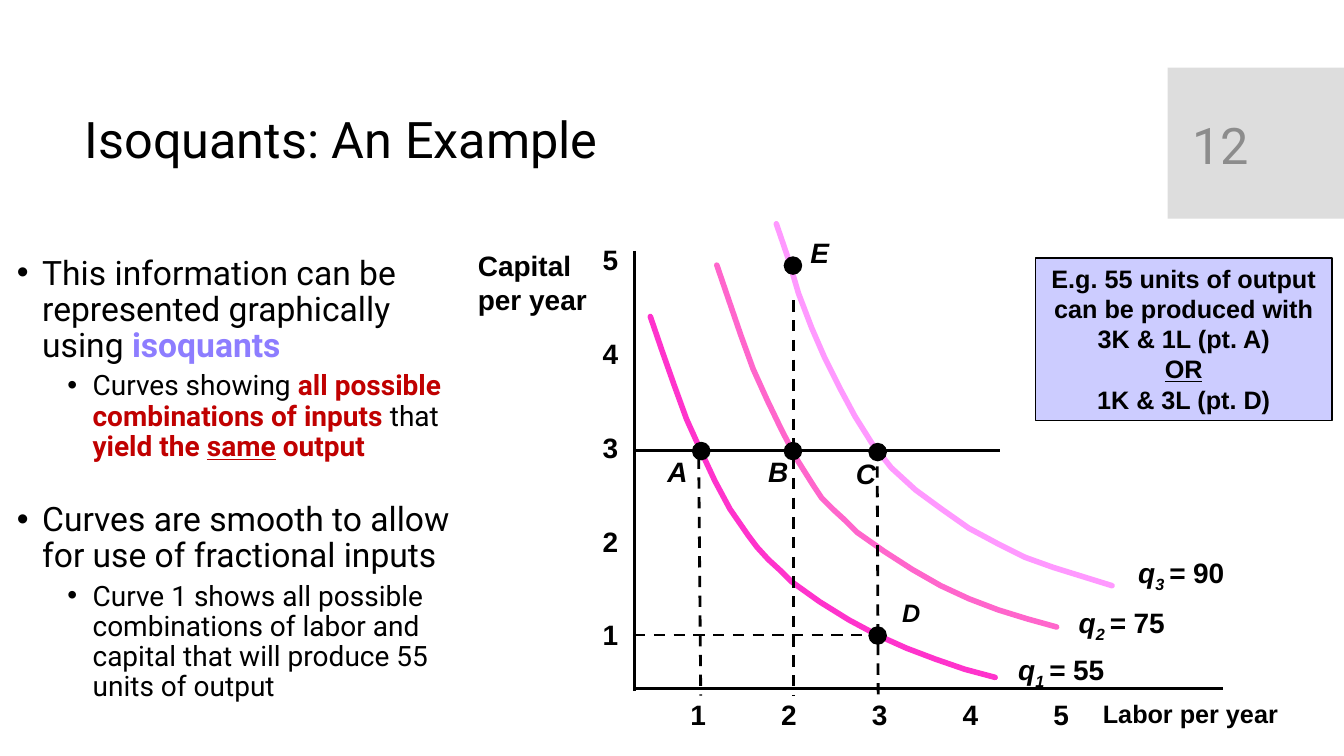
import pptx
import pptx.dml.color
import pptx.enum.dml
import pptx.enum.shapes
import pptx.enum.text
import pptx.oxml
import pptx.oxml.ns
import pptx.util

Inches = pptx.util.Inches
Pt = pptx.util.Pt
RGBColor = pptx.dml.color.RGBColor
Shape = pptx.enum.shapes.MSO_SHAPE
Align = pptx.enum.text.PP_ALIGN
Anchor = pptx.enum.text.MSO_ANCHOR
AutoSize = pptx.enum.text.MSO_AUTO_SIZE
qn = pptx.oxml.ns.qn

BLACK = RGBColor(0x00, 0x00, 0x00)
NUMBER_GRAY = RGBColor(0x8C, 0x8C, 0x8C)
PANEL_GRAY = RGBColor(0xDD, 0xDD, 0xDD)
PURPLE = RGBColor(0x8D, 0x7D, 0xFF)
RED = RGBColor(0xC0, 0x00, 0x00)
LAVENDER = RGBColor(0xCC, 0xCC, 0xFF)
PINK_1 = RGBColor(0xFF, 0x33, 0xCC)
PINK_2 = RGBColor(0xFF, 0x66, 0xCC)
PINK_3 = RGBColor(0xFF, 0x99, 0xFF)

CHART_FONT = {"name": "Arial", "size": Pt(20), "bold": True}
POINT_FONT = CHART_FONT | {"italic": True}
SMALL_FONT = CHART_FONT | {"size": Pt(18)}


def write_runs(paragraph, runs, base):
    """Add (text, format) runs; each format overrides values of the base format."""
    for text, changes in runs:
        run = paragraph.add_run()
        run.text = text
        values = {"color": BLACK} | base | changes
        run.font.color.rgb = values.pop("color")
        for name, value in values.items():
            setattr(run.font, name, value)


def add_label(left, top, width, height, lines, base):
    label = slide.shapes.add_textbox(Inches(left), Inches(top), Inches(width), Inches(height))
    frame = label.text_frame
    frame.word_wrap = False
    frame.auto_size = AutoSize.SHAPE_TO_FIT_TEXT
    for index, line in enumerate(lines):
        paragraph = frame.add_paragraph() if index else frame.paragraphs[0]
        write_runs(paragraph, [(line, {})], base)
    return label


presentation = pptx.Presentation()
presentation.slide_width = Inches(13.33)
presentation.slide_height = Inches(7.5)
slide = presentation.slides.add_slide(presentation.slide_layouts[5])

# Title and slide number
panel = slide.shapes.add_shape(Shape.RECTANGLE, Inches(11.58), Inches(0.67), Inches(1.75), Inches(1.5))
panel.shadow.inherit = False
panel.fill.solid()
panel.fill.fore_color.rgb = PANEL_GRAY
panel.line.fill.background()

title = slide.shapes.title
title.left, title.top, title.width, title.height = map(Inches, (0.74, 0.82, 10.51, 1.18))
title.text_frame.auto_size = AutoSize.NONE
title.text_frame.vertical_anchor = Anchor.MIDDLE
title_paragraph = title.text_frame.paragraphs[0]
title_paragraph.alignment = Align.LEFT
title_paragraph.line_spacing = 0.9
write_runs(title_paragraph, [("Isoquants: An Example", {})], {"name": "Roboto", "size": Pt(36)})

number = add_label(11.73, 0.84, 1.26, 1.19, ["12"], {"name": "Roboto", "size": Pt(36), "color": NUMBER_GRAY})
number.text_frame.auto_size = AutoSize.NONE
number.text_frame.word_wrap = True
number.text_frame.vertical_anchor = Anchor.MIDDLE

# Bulleted text: level, space before, runs
red_bold = {"color": RED, "bold": True}
bullets = [
    (0, 0, [("This information can be represented graphically using ", {}),
            ("isoquants", {"color": PURPLE, "bold": True})]),
    (1, 5, [("Curves showing ", {}), ("all possible combinations of inputs ", red_bold),
            ("that ", {}), ("yield the ", red_bold),
            ("same", red_bold | {"underline": True}), (" output", red_bold)]),
    (0, 28.5, [("Curves are smooth to allow for use of fractional inputs", {})]),
    (1, 5, [("Curve 1 shows all possible combinations of labor and capital "
             "that will produce 55 units of output", {})]),
]
body = slide.shapes.add_textbox(Inches(0.07), Inches(2.49), Inches(4.72), Inches(4.82))
body.text_frame.word_wrap = True
for index, (level, space, runs) in enumerate(bullets):
    paragraph = body.text_frame.add_paragraph() if index else body.text_frame.paragraphs[0]
    paragraph.level = level
    paragraph.line_spacing = 0.9
    paragraph.space_before = Pt(space)
    properties = paragraph._p.get_or_add_pPr()
    properties.set("marL", str(Inches(0.25 + 0.5 * level)))
    properties.set("indent", str(Inches(-0.25)))
    for tag, key, value in (("a:buFont", "typeface", "Arial"), ("a:buChar", "char", "•")):
        bullet = pptx.oxml.ns.nsdecls("a")
        properties.append(pptx.oxml.parse_xml(f'<{tag} {bullet} {key}="{value}"/>'))
    write_runs(paragraph, runs, {"name": "Roboto", "size": Pt(24 - 4 * level)})

# Callout
callout = slide.shapes.add_shape(Shape.RECTANGLE, Inches(10.27), Inches(2.56), Inches(2.94), Inches(1.61))
callout.shadow.inherit = False
callout.fill.solid()
callout.fill.fore_color.rgb = LAVENDER
callout.line.color.rgb = BLACK
callout.line.width = Pt(1)
callout.text_frame.word_wrap = True
callout.text_frame.vertical_anchor = Anchor.TOP
callout_lines = ["E.g. 55 units of output can be produced with", "3K & 1L (pt. A)", "OR", "1K & 3L (pt. D)"]
for index, line in enumerate(callout_lines):
    paragraph = callout.text_frame.add_paragraph() if index else callout.text_frame.paragraphs[0]
    paragraph.alignment = Align.CENTER
    write_runs(paragraph, [(line, {"underline": line == "OR"})], SMALL_FONT)

# Axis labels
for tick in range(5):
    add_label(6.75 + 0.9 * tick, 6.87, 0.36, 0.43, [str(tick + 1)], CHART_FONT)
    add_label(5.88, 6.08 - 0.93 * tick, 0.36, 0.43, [str(tick + 1)], CHART_FONT)
add_label(10.84, 6.88, 1.95, 0.4, ["Labor per year"], SMALL_FONT)
add_label(4.64, 2.42, 1.29, 0.77, ["Capital", "per year"], CHART_FONT)

# Isoquants: subscript, output, colour, label position, points
isoquants = [
    ("1", "55", PINK_1, (10, 6.42),
     [(6.45, 3.14), (6.57, 3.49), (6.69, 3.83), (6.81, 4.16), (6.95, 4.47), (7.09, 4.77),
      (7.24, 5.05), (7.42, 5.31), (7.51, 5.43), (7.62, 5.55), (7.74, 5.66), (7.85, 5.77),
      (8.13, 5.97), (8.42, 6.15), (8.7, 6.3), (8.99, 6.43), (9.28, 6.54), (9.57, 6.64), (9.87, 6.72)]),
    ("2", "75", PINK_2, (10.6, 5.96),
     [(7.11, 2.63), (7.23, 2.98), (7.35, 3.33), (7.47, 3.66), (7.61, 3.97), (7.75, 4.26),
      (7.9, 4.55), (8.07, 4.82), (8.15, 4.94), (8.26, 5.05), (8.38, 5.16), (8.5, 5.28),
      (8.77, 5.47), (9.05, 5.65), (9.33, 5.81), (9.61, 5.94), (9.9, 6.05), (10.19, 6.14), (10.48, 6.22)]),
    ("3", "90", PINK_3, (11.19, 5.46),
     [(7.7, 2.22), (7.82, 2.57), (7.92, 2.91), (8.05, 3.25), (8.18, 3.55), (8.33, 3.85),
      (8.48, 4.13), (8.65, 4.4), (8.84, 4.64), (9.08, 4.86), (9.34, 5.05), (9.61, 5.24),
      (9.89, 5.39), (10.17, 5.53), (10.45, 5.63), (10.74, 5.72), (11.03, 5.81)]),
]
for subscript, output, color, (left, top), points in isoquants:
    vertices = [(Inches(x), Inches(y)) for x, y in points]
    builder = slide.shapes.build_freeform(*vertices[0])
    builder.add_line_segments(vertices[1:], close=False)
    curve = builder.convert_to_shape()
    curve.shadow.inherit = False
    curve.fill.background()
    curve.line.color.rgb = color
    curve.line.width = Pt(4)
    curve.element.spPr.find(qn("a:ln")).set("cap", "rnd")
    label = add_label(left, top, 1.08, 0.43, ["q"], POINT_FONT)
    paragraph = label.text_frame.paragraphs[0]
    write_runs(paragraph, [(subscript + " ", {}), ("= ", {}), (output, {"italic": False})], POINT_FONT)
    paragraph.runs[1].font._element.set("baseline", "-25000")

# Axes and guide lines: start, end, dashed
lines = [
    ((6.3, 6.83), (12.13, 6.83), False),
    ((6.29, 2.49), (6.29, 6.86), False),
    ((6.29, 4.47), (9.92, 4.47), False),
    ((6.93, 4.54), (6.95, 6.9), True),
    ((7.87, 2.98), (7.87, 6.9), True),
    ((8.7, 4.43), (8.71, 6.9), True),
    ((6.29, 6.3), (8.55, 6.3), True),
]
for start, end, dashed in lines:
    connector = slide.shapes.add_connector(
        pptx.enum.shapes.MSO_CONNECTOR.STRAIGHT, *map(Inches, start + end))
    connector.line.color.rgb = BLACK
    connector.line.width = Pt(2)
    if dashed:
        connector.line.dash_style = pptx.enum.dml.MSO_LINE.DASH
    connector.element.spPr.append(pptx.oxml.parse_xml(f'<a:effectLst {pptx.oxml.ns.nsdecls("a")}/>'))

# Points: name, dot corner, label corner, font
points = [
    ("A", (6.87, 4.39), (6.52, 4.46), POINT_FONT),
    ("B", (7.78, 4.39), (7.52, 4.46), POINT_FONT),
    ("C", (8.62, 4.4), (8.39, 4.48), POINT_FONT),
    ("D", (8.62, 6.22), (8.85, 5.88), POINT_FONT | {"size": Pt(18)}),
    ("E", (7.78, 2.55), (7.94, 2.29), POINT_FONT),
]
for name, (dot_left, dot_top), (left, top), font in points:
    dot = slide.shapes.add_shape(Shape.OVAL, Inches(dot_left), Inches(dot_top), Inches(0.17), Inches(0.17))
    dot.shadow.inherit = False
    dot.fill.solid()
    dot.fill.fore_color.rgb = BLACK
    dot.line.color.rgb = BLACK
    dot.line.width = Pt(1)
    add_label(left, top, 0.4, 0.43, [name], font)

presentation.save("out.pptx")
